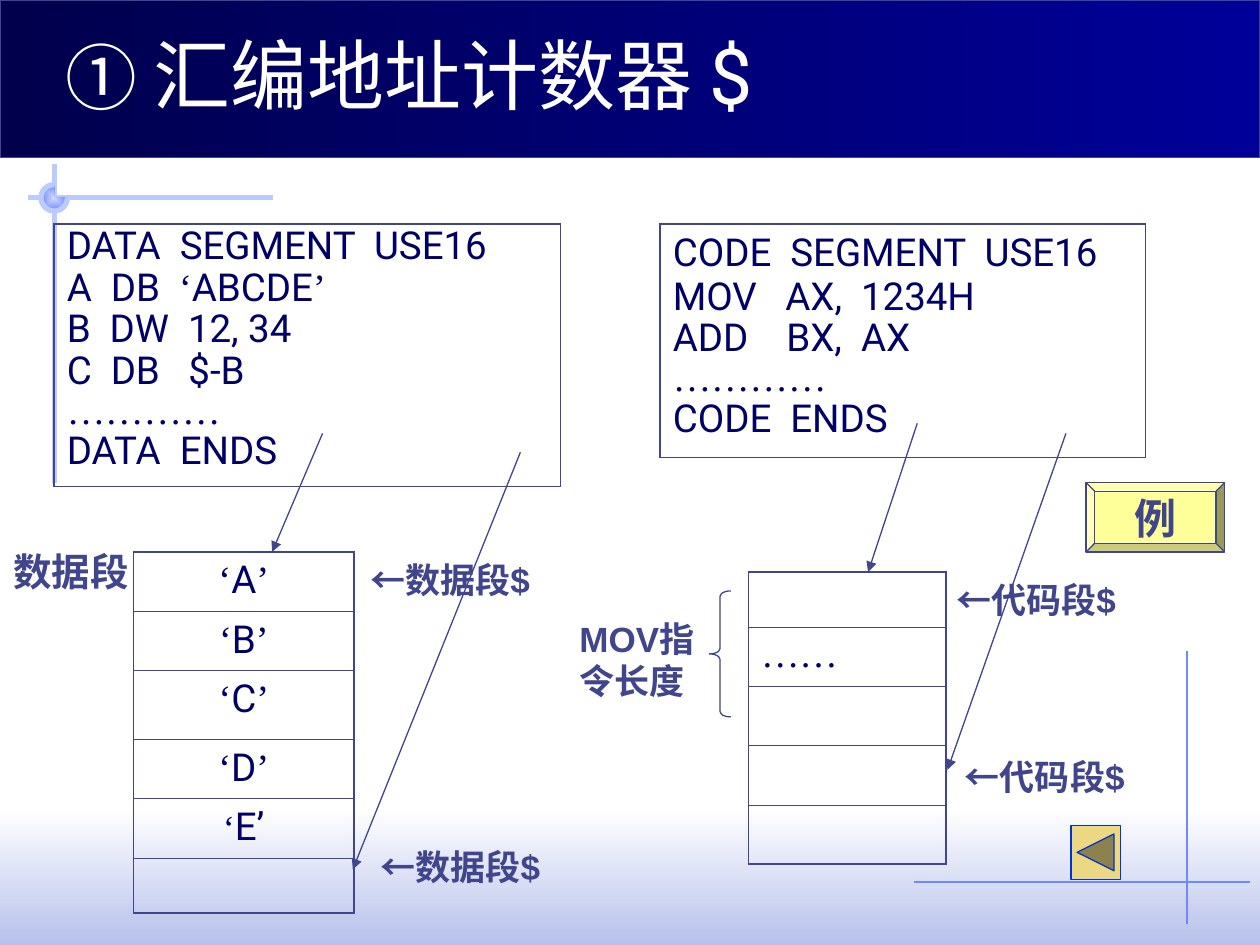
from itertools import groupby

from lxml import etree
from pptx import Presentation
from pptx.dml.color import RGBColor
from pptx.enum.shapes import MSO_CONNECTOR, MSO_SHAPE
from pptx.enum.text import MSO_ANCHOR, PP_ALIGN
from pptx.oxml import parse_xml
from pptx.oxml.ns import nsdecls, qn
from pptx.util import Inches, Pt

STRAIGHT = MSO_CONNECTOR.STRAIGHT
LEFT, CENTER = PP_ALIGN.LEFT, PP_ALIGN.CENTER
MIDDLE, BOTTOM = MSO_ANCHOR.MIDDLE, MSO_ANCHOR.BOTTOM
CODE_FONT, MARK_FONT, LABEL_FONT = "Roboto", "Times New Roman", "Arial"
MARKS = "‘’…"
THICK, THIN = 1.08, 0.45

COLORS = {
    "ink": "40458C", "code": "000066", "white": "FFFFFF", "haze": "B7C1EB",
    "navy": "00004D", "blue": "000099", "cross": "BBCBFD", "rule": "6F89F7",
    "pale": "CFDBFD", "yellow": "FFFF99", "gold": "ECD882", "edge": "0033CC",
}

# The grid has one-inch cells: 10 columns by 7.5 rows.
COLUMNS, ROWS = 10, 7.5
HEADER_HEIGHT, HAZE_TOP = 1.25, 6.42
CROSS_X, CROSS_Y, CROSS_RADIUS = 0.43, 1.57, 0.105

TITLE = [("① ", 41), ("汇编地址计数器 $", 44)]

DATA_CODE = ["DATA  SEGMENT  USE16", "A  DB  ‘ABCDE’", "B  DW  12, 34",
             "C  DB   $-B", "…………", "DATA  ENDS"]
PROGRAM_CODE = ["CODE  SEGMENT  USE16", "MOV   AX,  1234H",
                "ADD    BX,  AX", "…………", "CODE  ENDS"]

# left, top, width, row heights, one list of lines per cell, first spacing, alignment
TABLES = {
    "data code": (0.43, 1.78, 4.02, [2.08], [DATA_CODE], 0.8, LEFT),
    "program code": (5.24, 1.78, 3.85, [1.85], [PROGRAM_CODE], 1.0, LEFT),
    "data memory": (1.06, 4.38, 1.75, [0.47, 0.47, 0.55, 0.47, 0.47, 0.44],
                    [["‘A’"], ["‘B’"], ["‘C’"], ["‘D’"], ["‘E’"], []], 1.0, CENTER),
    "program memory": (5.94, 4.54, 1.57, [0.44] + [0.47] * 4,
                       [[], ["……"], [], [], []], 1.0, LEFT),
}

# left, top, width, height, size, lines
LABELS = [
    (0.01, 4.3, 1.17, 0.47, 22, ["数据段"]),
    (2.84, 4.38, 1.6, 0.44, 20, ["←数据段$"]),
    (2.92, 6.66, 1.6, 0.44, 20, ["←数据段$"]),
    (4.5, 4.85, 1.18, 0.77, 20, ["MOV指", "令长度"]),
    (7.49, 4.54, 1.6, 0.44, 20, ["←代码段$"]),
    (7.56, 5.95, 1.6, 0.44, 20, ["←代码段$"]),
]

# from x, from y, to x, to y
ARROWS = [
    (2.56, 3.44, 2.16, 4.38),
    (4.13, 3.59, 2.8, 6.9),
    (7.28, 3.36, 6.89, 4.54),
    (8.46, 3.44, 7.52, 6.11),
]


def rgb(name):
    return RGBColor.from_string(COLORS[name])


def style_font(font, name, size, color, bold=False):
    font.name, font.size, font.bold = name, Pt(size), bold
    font.color.rgb = rgb(color)


def add_line(slide, ends, color, width, arrow=False):
    line = slide.shapes.add_connector(STRAIGHT, *map(Inches, ends))
    line.line.color.rgb = rgb(color)
    line.line.width = Pt(width)
    properties = line._element.spPr
    if arrow:
        etree.SubElement(properties.find(qn("a:ln")), qn("a:tailEnd"), type="triangle")
    etree.SubElement(properties, qn("a:effectLst"))


def add_shape(slide, kind, box, fill=None, line=None, width=0.75):
    shape = slide.shapes.add_shape(kind, *map(Inches, box))
    shape.shadow.inherit = False
    if fill:
        shape.fill.solid()
        shape.fill.fore_color.rgb = rgb(fill)
    else:
        shape.fill.background()
    if line:
        shape.line.color.rgb = rgb(line)
        shape.line.width = Pt(width)
    else:
        shape.line.fill.background()
    return shape


def shade(shape, first, last, angle=None):
    """Fill with a linear gradient, or from the centre outwards without an angle."""
    shape.fill.gradient()
    for stop, color in zip(shape.fill.gradient_stops, (first, last)):
        stop.color.rgb = rgb(color)
    if angle is not None:
        shape.fill.gradient_angle = angle
        return
    linear = shape._element.spPr.find(qn("a:gradFill")).find(qn("a:lin"))
    linear.getparent().replace(linear, parse_xml(
        f'<a:path {nsdecls("a")} path="rect">'
        '<a:fillToRect l="50000" t="50000" r="50000" b="50000"/></a:path>'))


def add_text_box(slide, box):
    frame = slide.shapes.add_textbox(*map(Inches, box)).text_frame
    frame.word_wrap = True
    return frame


def paragraphs_for(frame, lines):
    """Yield one paragraph of the frame with each line."""
    for index, line in enumerate(lines):
        yield frame.add_paragraph() if index else frame.paragraphs[0], line


def set_borders(cell, widths):
    properties = cell._tc.get_or_add_tcPr()
    for index, (side, width) in enumerate(zip("LRTB", widths)):
        properties.insert(index, parse_xml(
            f'<a:ln{side} {nsdecls("a")} w="{Pt(width)}"><a:solidFill>'
            f'<a:srgbClr val="{COLORS["ink"]}"/></a:solidFill></a:ln{side}>'))


def add_table(slide, left, top, width, heights, cells, first_spacing, alignment):
    box = map(Inches, (left, top, width, sum(heights)))
    table = slide.shapes.add_table(len(heights), 1, *box).table
    table.first_row = table.horz_banding = False
    last = len(heights) - 1
    for row, (height, lines) in enumerate(zip(heights, cells)):
        table.rows[row].height = Inches(height)
        cell = table.cell(row, 0)
        cell.fill.background()
        set_borders(cell, (THICK, THICK, THIN if row else THICK,
                           THIN if row < last else THICK))
        for index, (paragraph, line) in enumerate(paragraphs_for(cell.text_frame, lines)):
            paragraph.alignment = alignment
            paragraph.line_spacing = 0.7 if index else first_spacing
            if index:
                paragraph.space_before = Pt(5.5)
            for is_mark, letters in groupby(line, lambda letter: letter in MARKS):
                run = paragraph.add_run()
                run.text = "".join(letters)
                style_font(run.font, MARK_FONT if is_mark else CODE_FONT, 22, "code")
    return table


def add_backdrop(slide):
    haze = add_shape(slide, MSO_SHAPE.RECTANGLE, (0, HAZE_TOP, COLUMNS, ROWS - HAZE_TOP))
    shade(haze, "white", "haze", 270)
    add_line(slide, (9.42, 5.17, 9.42, 7.33), "rule", 0.75)
    add_line(slide, (7.25, 7, 9.92, 7), "rule", 0.75)
    add_line(slide, (0.22, CROSS_Y, 2.17, CROSS_Y), "cross", 3)
    add_line(slide, (CROSS_X, 1.3, CROSS_X, 3.83), "cross", 3)
    ball = (CROSS_X - CROSS_RADIUS, CROSS_Y - CROSS_RADIUS,
            2 * CROSS_RADIUS, 2 * CROSS_RADIUS)
    shade(add_shape(slide, MSO_SHAPE.PIE, ball), "pale", "rule")
    rim = add_shape(slide, MSO_SHAPE.ARC, ball, line="cross", width=3)
    rim.adjustments[0], rim.adjustments[1] = 0, 162
    header = add_shape(slide, MSO_SHAPE.RECTANGLE, (0, 0, COLUMNS, HEADER_HEIGHT), line="ink")
    shade(header, "navy", "blue", 0)


def main():
    presentation = Presentation()
    presentation.slide_width, presentation.slide_height = Inches(COLUMNS), Inches(ROWS)
    slide = presentation.slides.add_slide(presentation.slide_layouts[6])
    add_backdrop(slide)

    title = add_text_box(slide, (0.42, 0.08, 8.5, 0.92))
    title.vertical_anchor = BOTTOM
    for text, size in TITLE:
        run = title.paragraphs[0].add_run()
        run.text = text
        style_font(run.font, CODE_FONT, size, "white")

    tables = {name: add_table(slide, *table) for name, table in TABLES.items()}
    opening, _, closing = tables["data memory"].cell(4, 0).text_frame.paragraphs[0].runs
    opening.font.size, closing.font.name = Pt(20), CODE_FONT

    for *box, size, lines in LABELS:
        frame = add_text_box(slide, box)
        frame.margin_right = 0
        for paragraph, line in paragraphs_for(frame, lines):
            paragraph.text = line
            style_font(paragraph.font, LABEL_FONT, size, "ink", bold=True)

    brace = add_shape(slide, MSO_SHAPE.LEFT_BRACE, (5.63, 4.69, 0.17, 1), line="ink")
    brace.adjustments[0] = 0.25

    example = add_shape(slide, MSO_SHAPE.BEVEL, (8.62, 3.83, 1.1, 0.55), "yellow", "ink")
    example.text_frame.vertical_anchor = MIDDLE
    example.text_frame.word_wrap = False
    paragraph = example.text_frame.paragraphs[0]
    paragraph.text, paragraph.alignment = "例", CENTER
    style_font(paragraph.font, LABEL_FONT, 24, "ink", bold=True)

    add_shape(slide, MSO_SHAPE.ACTION_BUTTON_BACK_OR_PREVIOUS,
              (8.5, 6.55, 0.39, 0.43), "gold", "edge")
    for ends in ARROWS:
        add_line(slide, ends, "ink", 0.75, arrow=True)
    presentation.save("out.pptx")


if __name__ == "__main__":
    main()
